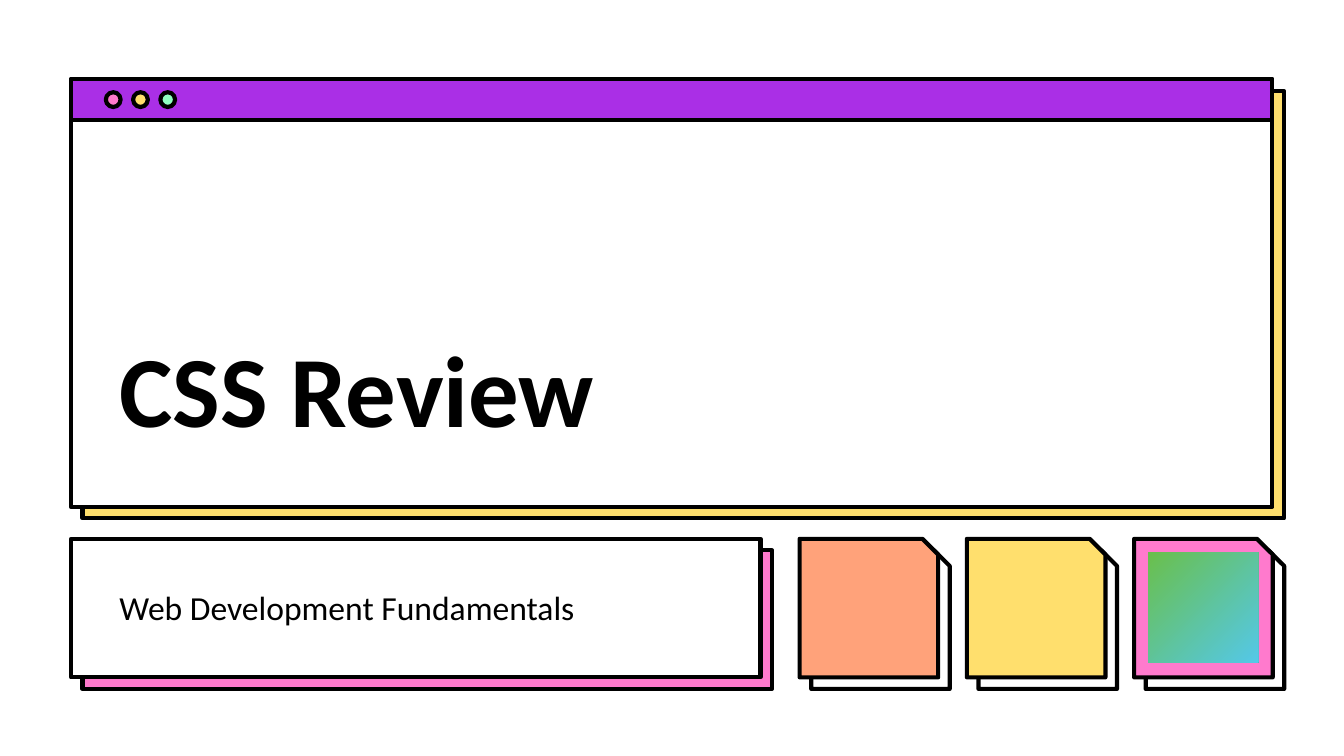
from pptx import Presentation
from pptx.dml.color import RGBColor
from pptx.enum.shapes import MSO_SHAPE
from pptx.enum.text import MSO_ANCHOR
from pptx.util import Pt

RECT = MSO_SHAPE.RECTANGLE
SNIP = MSO_SHAPE.SNIP_1_RECTANGLE
OVAL = MSO_SHAPE.OVAL
TOP, BOTTOM = MSO_ANCHOR.TOP, MSO_ANCHOR.BOTTOM

COLORS = {
    "black": "000000",
    "white": "FFFFFF",
    "purple": "AA2FE6",
    "pink": "FF7ACD",
    "yellow": "FFDF6D",
    "mint": "8FFFC1",
    "orange": "FFA27A",
    "green": "6ABF4B",
    "blue": "54C8E8",
}
LEFT = 38
OFFSET = 6.2
WINDOW_TOP, WINDOW_WIDTH = 42.5, 643.7
ROW_TOP, ROW_HEIGHT = 288.7, 74.2

prs = Presentation()
prs.slide_width, prs.slide_height = Pt(720), Pt(405)
slide = prs.slides.add_slide(prs.slide_layouts[6])


def rgb(name):
    return RGBColor.from_string(COLORS[name])


def add_outlined(kind, left, top, width, height, color):
    """Add a filled shape with the thick black outline."""
    shape = slide.shapes.add_shape(kind, Pt(left), Pt(top), Pt(width), Pt(height))
    shape.shadow.inherit = False
    shape.fill.solid()
    shape.fill.fore_color.rgb = rgb(color)
    shape.line.color.rgb = rgb("black")
    shape.line.width = Pt(2.25)
    if kind == SNIP:
        shape.adjustments[0] = 0.113
    return shape


# Panels and tiles, each in front of an offset backing
tiles = [
    (SNIP, 428.4 + 89.6 * i, ROW_TOP, ROW_HEIGHT, ROW_HEIGHT, color, "white")
    for i, color in enumerate(["orange", "yellow", "pink"])
]
panels = [
    (RECT, LEFT, WINDOW_TOP, WINDOW_WIDTH, 229, "white", "yellow"),
    (RECT, LEFT, ROW_TOP, 369.4, ROW_HEIGHT, "white", "pink"),
]
for kind, left, top, width, height, front, backing in panels + tiles:
    add_outlined(kind, left + OFFSET, top + OFFSET, width, height, backing)
    add_outlined(kind, left, top, width, height, front)

# Window title bar with its three buttons
add_outlined(RECT, LEFT, WINDOW_TOP, WINDOW_WIDTH, 21.8, "purple")
for i, color in enumerate(["pink", "yellow", "mint"]):
    add_outlined(OVAL, 56.7 + 14.6 * i, 49.4, 7.9, 7.9, color)

# Gradient badge on the last tile
badge = slide.shapes.add_shape(RECT, Pt(615), Pt(295.8), Pt(59), Pt(59))
badge.shadow.inherit = False
badge.line.fill.background()
badge.fill.gradient()
badge.fill.gradient_angle = 315
for stop, color in zip(badge.fill.gradient_stops, ["green", "blue"]):
    stop.color.rgb = rgb(color)

# Title and subtitle
for text, top, width, height, anchor, size, bold in [
    ("CSS Review", 89.3, 607, 157.7, BOTTOM, 54, True),
    ("Web Development Fundamentals", 307.4, 327, 35.3, TOP, 18, False),
]:
    box = slide.shapes.add_textbox(Pt(56.9), Pt(top), Pt(width), Pt(height))
    frame = box.text_frame
    frame.word_wrap = True
    frame.vertical_anchor = anchor
    frame.margin_left = frame.margin_right = Pt(7.2)
    frame.margin_top = frame.margin_bottom = Pt(7.2)
    frame.text = text
    font = frame.paragraphs[0].runs[0].font
    font.name, font.size, font.bold = "Calibri", Pt(size), bold
    font.color.rgb = rgb("black")

prs.save("out.pptx")
